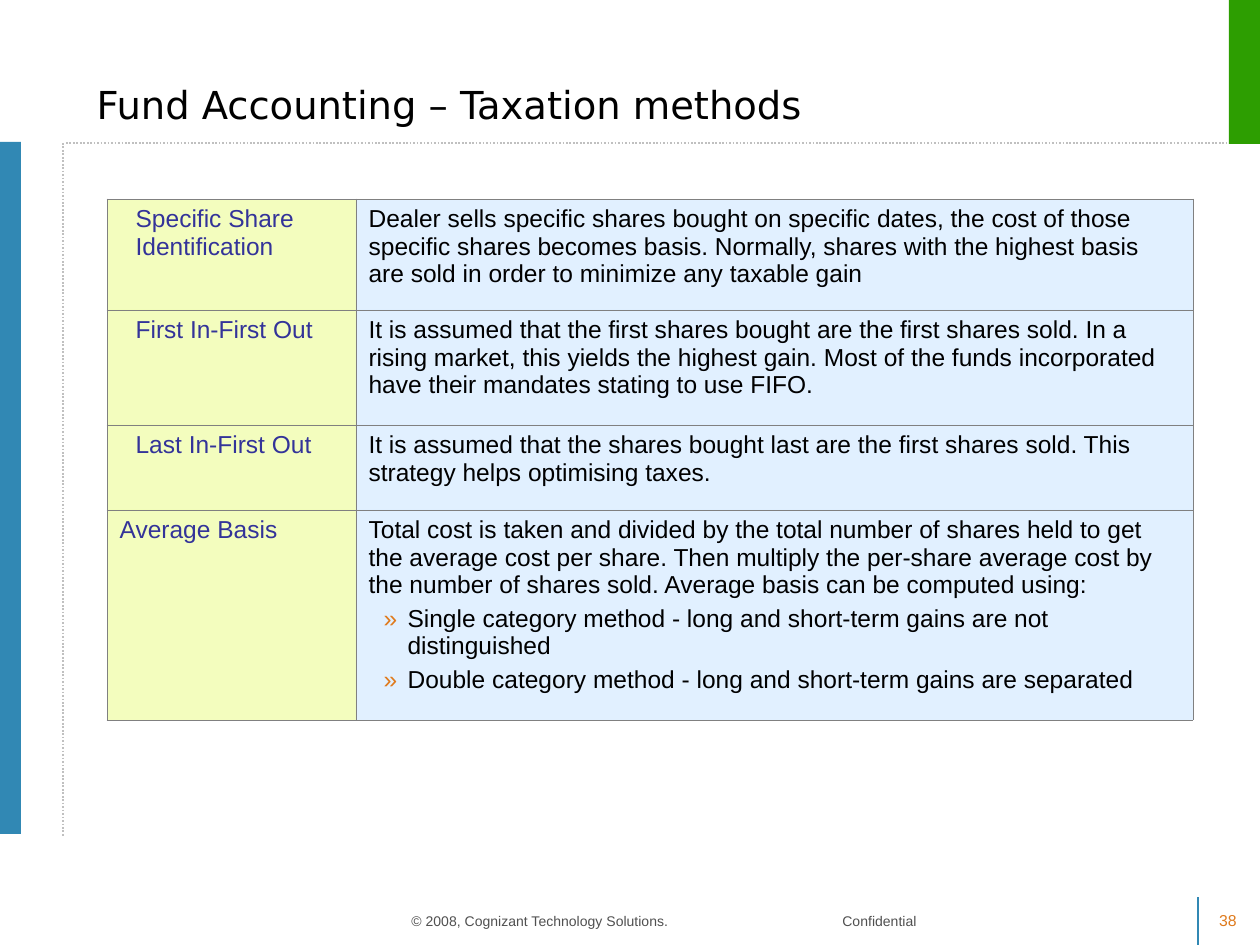
from lxml.etree import SubElement
from pptx import Presentation
from pptx.dml.color import RGBColor
from pptx.enum.dml import MSO_LINE
from pptx.enum.shapes import MSO_CONNECTOR, MSO_SHAPE
from pptx.enum.text import MSO_ANCHOR, PP_ALIGN
from pptx.oxml import parse_xml
from pptx.oxml.ns import nsdecls, qn
from pptx.util import Pt

PX = 914400 // 126  # EMU in one px
color = RGBColor.from_string


def set_font(paragraph, size, hex_color, name="Arial"):
    paragraph.font.size = Pt(size)
    paragraph.font.name = name
    paragraph.font.color.rgb = color(hex_color)


presentation = Presentation()
presentation.slide_width = 1260 * PX
presentation.slide_height = 945 * PX
slide = presentation.slides.add_slide(presentation.slide_layouts[5])

# Frame lines
for x1, y1, x2, y2, line_color, dash in [
    (1198, 945, 1198, 897, "3188B4", None),
    (66, 143, 1242, 143, "C0C0C0", MSO_LINE.ROUND_DOT),
    (63, 143, 63, 836, "C0C0C0", MSO_LINE.ROUND_DOT),
]:
    connector = slide.shapes.add_connector(
        MSO_CONNECTOR.STRAIGHT, x1 * PX, y1 * PX, x2 * PX, y2 * PX)
    connector.line.color.rgb = color(line_color)
    connector.line.width = Pt(1)
    connector.line.dash_style = dash
    SubElement(connector._element.spPr, qn("a:effectLst"))

# Colour bars
for left, top, width, height, fill in [
    (0, 142, 21, 692, "3188B4"),
    (1229, 0, 31, 144, "2D9E01"),
]:
    bar = slide.shapes.add_shape(
        MSO_SHAPE.RECTANGLE, left * PX, top * PX, width * PX, height * PX)
    bar.shadow.inherit = False
    bar.fill.solid()
    bar.fill.fore_color.rgb = color(fill)
    bar.line.fill.background()

# Title
title = slide.shapes.title
title.left, title.top, title.width, title.height = 84 * PX, 50 * PX, 1123 * PX, 84 * PX
title.text_frame.text = "Fund Accounting – Taxation methods"
title.text_frame.vertical_anchor = MSO_ANCHOR.BOTTOM
title.text_frame.paragraphs[0].alignment = PP_ALIGN.LEFT
set_font(title.text_frame.paragraphs[0], 22, "000000", "DejaVu Sans")

# Footer and slide number
for left, top, width, height, text, size, text_color, align, anchor in [
    (399, 886, 713, 50, "© 2008, Cognizant Technology Solutions.\tConfidential",
     8, "505050", PP_ALIGN.LEFT, MSO_ANCHOR.BOTTOM),
    (1203, 905, 50, 32, "38", 9, "DF7A1C", PP_ALIGN.CENTER, MSO_ANCHOR.TOP),
]:
    box = slide.shapes.add_textbox(left * PX, top * PX, width * PX, height * PX)
    box.text_frame.word_wrap = True
    box.text_frame.vertical_anchor = anchor
    paragraph = box.text_frame.paragraphs[0]
    paragraph.text = text
    paragraph.alignment = align
    if "\t" in text:
        tabs = SubElement(paragraph._p.get_or_add_pPr(), qn("a:tabLst"))
        SubElement(tabs, qn("a:tab"), pos=str(431 * PX), algn="l")
    set_font(paragraph, size, text_color)

# Taxation methods: label, label indent, row height, description, bullets
methods = [
    ("Specific Share Identification", 16, 111,
     "Dealer sells specific shares bought on specific dates, the cost of those specific "
     "shares becomes basis. Normally, shares with the highest basis are sold in order to "
     "minimize any taxable gain", []),
    ("First In-First Out", 16, 115,
     "It is assumed that the first shares bought are the first shares sold. In a rising "
     "market, this yields the highest gain. Most of the funds incorporated have their "
     "mandates stating to use FIFO.", []),
    ("Last In-First Out", 16, 85,
     "It is assumed that the shares bought last are the first shares sold. This strategy "
     "helps optimising taxes.", []),
    ("Average Basis", 0, 210,
     "Total cost is taken and divided by the total number of shares held to get the average "
     "cost per share. Then multiply the per-share average cost by the number of shares sold. "
     "Average basis can be computed using:",
     ["Single category method - long and short-term gains are not distinguished",
      "Double category method - long and short-term gains are separated"]),
]
column_widths = [249, 837]
table = slide.shapes.add_table(
    len(methods), 2, 107 * PX, 199 * PX, sum(column_widths) * PX,
    sum(method[2] for method in methods) * PX).table
table.first_row = table.horz_banding = False
for column, width in zip(table.columns, column_widths):
    column.width = width * PX

for row_index, (label, indent, height, description, bullets) in enumerate(methods):
    table.rows[row_index].height = height * PX
    label_cell, description_cell = table.rows[row_index].cells

    # Text
    label_cell.text = label
    paragraph = label_cell.text_frame.paragraphs[0]
    paragraph._p.get_or_add_pPr().set("marL", str(indent * PX))
    set_font(paragraph, 14, "333399")
    description_cell.text = description
    set_font(description_cell.text_frame.paragraphs[0], 14, "000000")
    for bullet in bullets:
        paragraph = description_cell.text_frame.add_paragraph()
        paragraph.text = bullet
        paragraph.level = 1
        paragraph.space_before = Pt(3.5)
        properties = paragraph._p.get_or_add_pPr()
        properties.set("marL", str(39 * PX))
        properties.set("indent", str(-24 * PX))
        bullet_color = SubElement(properties, qn("a:buClr"))
        SubElement(bullet_color, qn("a:srgbClr"), val="DF7A1C")
        SubElement(properties, qn("a:buFont"), typeface="Arial")
        SubElement(properties, qn("a:buChar"), char="»")
        set_font(paragraph, 14, "000000")

    # Half-transparent fills and thin borders
    for cell, fill in [(label_cell, "E8FD7F"), (description_cell, "C5E2FF")]:
        cell.fill.solid()
        cell.fill.fore_color.rgb = color(fill)
        cell_properties = cell._tc.get_or_add_tcPr()
        SubElement(cell_properties.find(".//" + qn("a:srgbClr")), qn("a:alpha"), val="50000")
        for position, side in enumerate("LRTB"):
            cell_properties.insert(position, parse_xml(
                f'<a:ln{side} {nsdecls("a")} w="{Pt(0.45)}"><a:solidFill>'
                f'<a:srgbClr val="808080"/></a:solidFill></a:ln{side}>'))

presentation.save("out.pptx")
